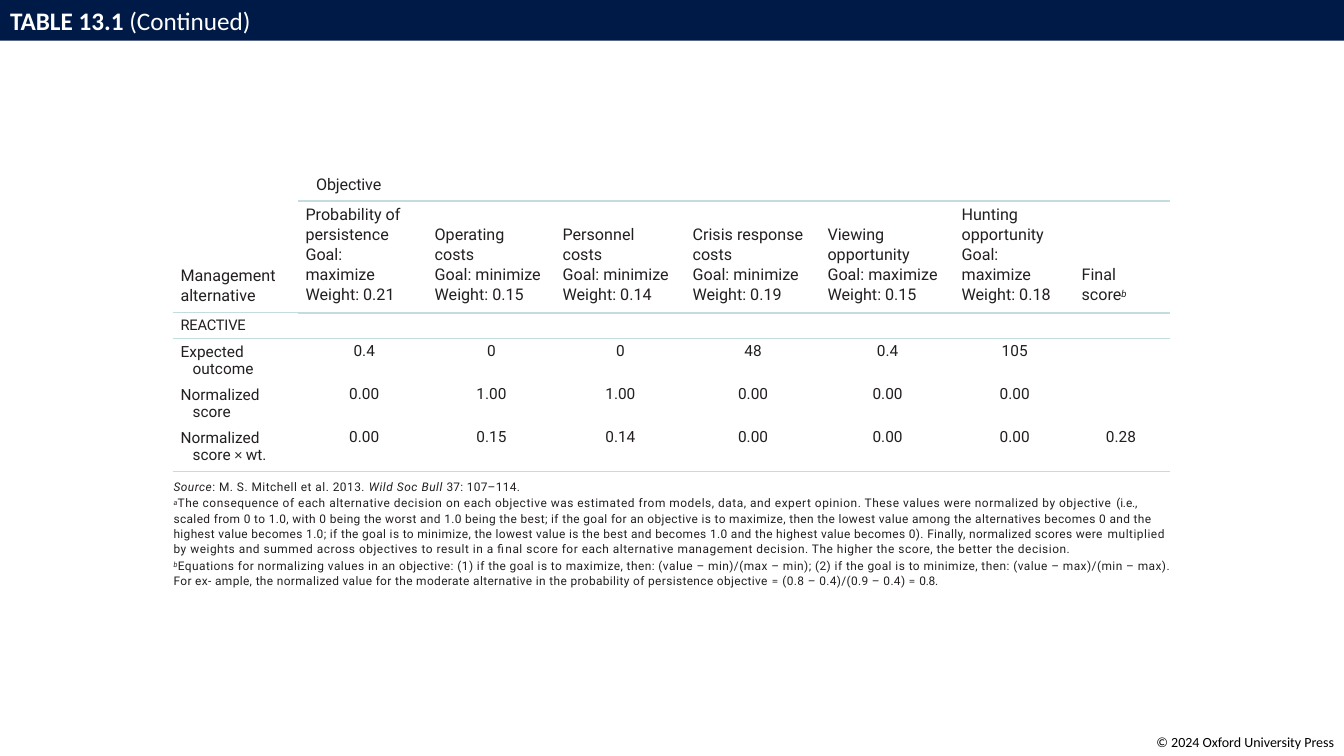
import pptx
import pptx.dml.color
import pptx.enum.text
import pptx.util
from dataclasses import dataclass
from lxml import etree

Pt = pptx.util.Pt
Align = pptx.enum.text.PP_ALIGN
Anchor = pptx.enum.text.MSO_ANCHOR
A = "{http://schemas.openxmlformats.org/drawingml/2006/main}"


@dataclass(frozen=True)
class Theme:
    navy: str = "001A47"
    rule: str = "C2DCDF"
    ink: str = "231F20"
    white: str = "FFFFFF"
    black: str = "000000"
    body_font: str = "Roboto"
    plain_font: str = "Calibri"
    title: float = 18
    header: float = 11.5
    group: float = 10.5
    value: float = 11
    note: float = 8.5
    note_mark: float = 9
    score_mark: float = 12
    credit: float = 10


THEME = Theme()
COLUMN_WIDTHS = [89.3, 87.8, 95, 92.2, 97.9, 94.3, 82.8, 72]
ROW_HEIGHTS = [18, 80, 18.7, 31, 31, 33.1]
HEADER_INDENTS = [5, 5, 9.4, 5.8, 6.5, 5, 6.5, 9.4]
VALUE_INDENTS = [6, 5, 2, 1.5, 1.5, 6, 3]
RULES = {0: 1.5, 1: 1.5, 2: 1, 5: 1}  # row above the rule: line width

HEADERS = [
    ["Management", "alternative"],
    ["Probability of", "persistence", "Goal:", "maximize", "Weight: 0.21"],
    ["Operating", "costs", "Goal: minimize", "Weight: 0.15"],
    ["Personnel", "costs", "Goal: minimize", "Weight: 0.14"],
    ["Crisis response", "costs", "Goal: minimize", "Weight: 0.19"],
    ["Viewing", "opportunity", "Goal: maximize", "Weight: 0.15"],
    ["Hunting", "opportunity", "Goal:", "maximize", "Weight: 0.18"],
    ["Final", [("score", {}), ("b", dict(size=THEME.score_mark, italic=True, baseline=21))]],
]
OUTCOMES = [
    ("Expected outcome", ["0.4", "0", "0", "48", "0.4", "105", ""]),
    ("Normalized score", ["0.00", "1.00", "1.00", "0.00", "0.00", "0.00", ""]),
    ([("Normalized score ", {}), ("× ", dict(font=THEME.plain_font)), ("wt.", {})],
     ["0.00", "0.15", "0.14", "0.00", "0.00", "0.00", "0.28"]),
]
NOTE_MARK = dict(size=THEME.note_mark, italic=True, baseline=19)
NOTES = [
    [("Source", dict(italic=True, spacing=0.35)),
     (": M. S. Mitchell et al. 2013. ", dict(spacing=0.35)),
     ("Wild Soc Bull ", dict(italic=True, spacing=0.4)),
     ("37: 107–114.", dict(spacing=0.2))],
    [("a", NOTE_MARK),
     ("The consequence of each alternative decision on each objective was estimated from models, "
      "data, and expert opinion. These values were normalized by objective ", dict(spacing=0.36)),
     ("(i.e., ", dict(spacing=-0.1)),
     ("scaled from 0 to 1.0, with 0 being the worst and 1.0 being the best; if the goal for an "
      "objective is to maximize, then the lowest value among the alternatives becomes 0 and the "
      "highest value becomes 1.0; if the goal is to minimize, the lowest value is the best and "
      "becomes 1.0 and the highest value becomes 0). Finally, normalized scores were ",
      dict(spacing=0.25)),
     ("multiplied by weights and summed across objectives to result in a final score for each "
      "alternative management decision. The higher the score, the better the decision.",
      dict(spacing=0.36))],
    [("b", NOTE_MARK),
     ("Equations for normalizing values in an objective: (1) if the goal is to maximize, then: "
      "(value – min)/(max – min); (2) if the goal is to minimize, then: (value – max)/(min – max). ",
      dict(spacing=0.31)),
     ("For ex- ample, the normalized value for the moderate alternative in the probability of "
      "persistence objective ", {}),
     ("= ", dict(font=THEME.plain_font, spacing=0.6)),
     ("(0.8 – 0.4)/(0.9 – 0.4) ", {}),
     ("= ", dict(font=THEME.plain_font, spacing=0.6)),
     ("0.8.", dict(spacing=-0.2))],
]


def rgb(value):
    return pptx.dml.color.RGBColor.from_string(value)


def write(frame, paragraphs, align=Align.LEFT, indent=0, hanging=0, leading=None, **style):
    """Each paragraph is a string or a list of (text, format) runs."""
    for index, content in enumerate(paragraphs):
        paragraph = frame.paragraphs[0] if index == 0 else frame.add_paragraph()
        paragraph.alignment = align
        if leading:
            paragraph.line_spacing = leading
        margins = paragraph._p.get_or_add_pPr()
        margins.set("marL", str(Pt(indent + hanging)))
        margins.set("indent", str(Pt(-hanging)))
        if not content:  # keeps an empty cell as low as its row
            etree.SubElement(paragraph._p, A + "endParaRPr", sz=str(int(style["size"] * 100)))
            continue
        for text, changes in [(content, {})] if isinstance(content, str) else content:
            look = {**style, **changes}
            run = paragraph.add_run()
            run.text = text
            run.font.name = look.get("font", THEME.body_font)
            run.font.size = Pt(look["size"])
            run.font.bold = look.get("bold", False)
            run.font.italic = look.get("italic", False)
            run.font.color.rgb = rgb(look.get("color", THEME.ink))
            properties = run._r.get_or_add_rPr()
            properties.set("spc", str(round(look.get("spacing", 0) * 100)))
            properties.set("baseline", str(look.get("baseline", 0) * 1000))


def set_margins(holder, left=0, top=0, right=0, bottom=0):
    holder.margin_left, holder.margin_top = Pt(left), Pt(top)
    holder.margin_right, holder.margin_bottom = Pt(right), Pt(bottom)


def draw_edge(cell, edge, width):
    line = etree.Element(A + edge, w=str(Pt(width)))
    fill = etree.SubElement(line, A + "solidFill")
    etree.SubElement(fill, A + "srgbClr", val=THEME.rule)
    cell._tc.get_or_add_tcPr().insert(0, line)


def add_title(slide, left, top, width, height):
    title = slide.shapes.title
    title.left, title.top, title.width, title.height = Pt(left), Pt(top), Pt(width), Pt(height)
    title.fill.solid()
    title.fill.fore_color.rgb = rgb(THEME.navy)
    title.text_frame.vertical_anchor = Anchor.MIDDLE
    set_margins(title.text_frame, left=7.2)
    write(title.text_frame, [[("TABLE 13.1 ", dict(bold=True)), ("(Continued)", {})]],
          font=THEME.plain_font, size=THEME.title, color=THEME.white)


def add_scores(slide, left, top):
    frame = slide.shapes.add_table(len(ROW_HEIGHTS), len(COLUMN_WIDTHS), Pt(left), Pt(top),
                                   Pt(sum(COLUMN_WIDTHS)), Pt(sum(ROW_HEIGHTS)))
    scores = frame.table
    scores.first_row = scores.horz_banding = False
    for column, width in zip(scores.columns, COLUMN_WIDTHS):
        column.width = Pt(width)
    for row, height in zip(scores.rows, ROW_HEIGHTS):
        row.height = Pt(height)

    # Rules: the lower edge of a row and the upper edge of the next
    for r in range(len(ROW_HEIGHTS)):
        for c in range(len(COLUMN_WIDTHS)):
            cell = scores.cell(r, c)
            cell.fill.background()
            set_margins(cell, top=2.2)
            for edge, above in (("lnB", r), ("lnT", r - 1)):
                if above in RULES and (above, c) != (0, 0):
                    draw_edge(cell, edge, 1 if c == 0 else RULES[above])

    # Spanning label and group row
    for c in range(len(COLUMN_WIDTHS)):
        set_margins(scores.cell(0, c))
        write(scores.cell(0, c).text_frame, ["Objective" if c == 1 else ""],
              indent=12.5, size=THEME.header, spacing=-0.1)
        set_margins(scores.cell(2, c), top=3)
        write(scores.cell(2, c).text_frame, ["REACTIVE" if c == 0 else ""],
              indent=5, size=THEME.group, spacing=-0.1)

    # Column headers
    for c, (lines, indent) in enumerate(zip(HEADERS, HEADER_INDENTS)):
        cell = scores.cell(1, c)
        cell.vertical_anchor = Anchor.BOTTOM
        set_margins(cell, bottom=6 if 0 < c < 7 else 5.5)
        write(cell.text_frame, lines, indent=indent, leading=1.06, size=THEME.header)

    # Outcome rows
    for r, (outcome, values) in enumerate(OUTCOMES, start=3):
        set_margins(scores.cell(r, 0), top=3.3 if r == 3 else 2.9, right=12)
        write(scores.cell(r, 0).text_frame, [outcome], indent=5, hanging=8.6,
              leading=Pt(12.6), size=THEME.value)
        for c, (value, indent) in enumerate(zip(values, VALUE_INDENTS), start=1):
            write(scores.cell(r, c).text_frame, [value], align=Align.CENTER,
                  indent=indent, size=THEME.value)


def add_text_box(slide, left, top, width, height):
    frame = slide.shapes.add_textbox(Pt(left), Pt(top), Pt(width), Pt(height)).text_frame
    frame.word_wrap = True
    return frame


def add_notes_below(slide, left, top, width, height):
    notes = add_text_box(slide, left, top, width, height)
    set_margins(notes, top=1.5)
    write(notes, NOTES, indent=3, leading=1.08, size=THEME.note, spacing=0.25)


def add_credit(slide, left, top, width, height):
    credit = add_text_box(slide, left, top, width, height)
    write(credit, ["© 2024 Oxford University Press"], align=Align.RIGHT,
          font=THEME.plain_font, size=THEME.credit, color=THEME.black)


def main():
    deck = pptx.Presentation()
    deck.slide_width, deck.slide_height = Pt(960), Pt(540)
    slide = deck.slides.add_slide(deck.slide_layouts[5])
    add_credit(slide, 800, 520.5, 160, 19.4)
    add_scores(slide, 124, 125.3)
    add_notes_below(slide, 121, 340.2, 717, 79)
    add_title(slide, 0, 0, 960, 29)
    deck.save("out.pptx")


if __name__ == "__main__":
    main()
